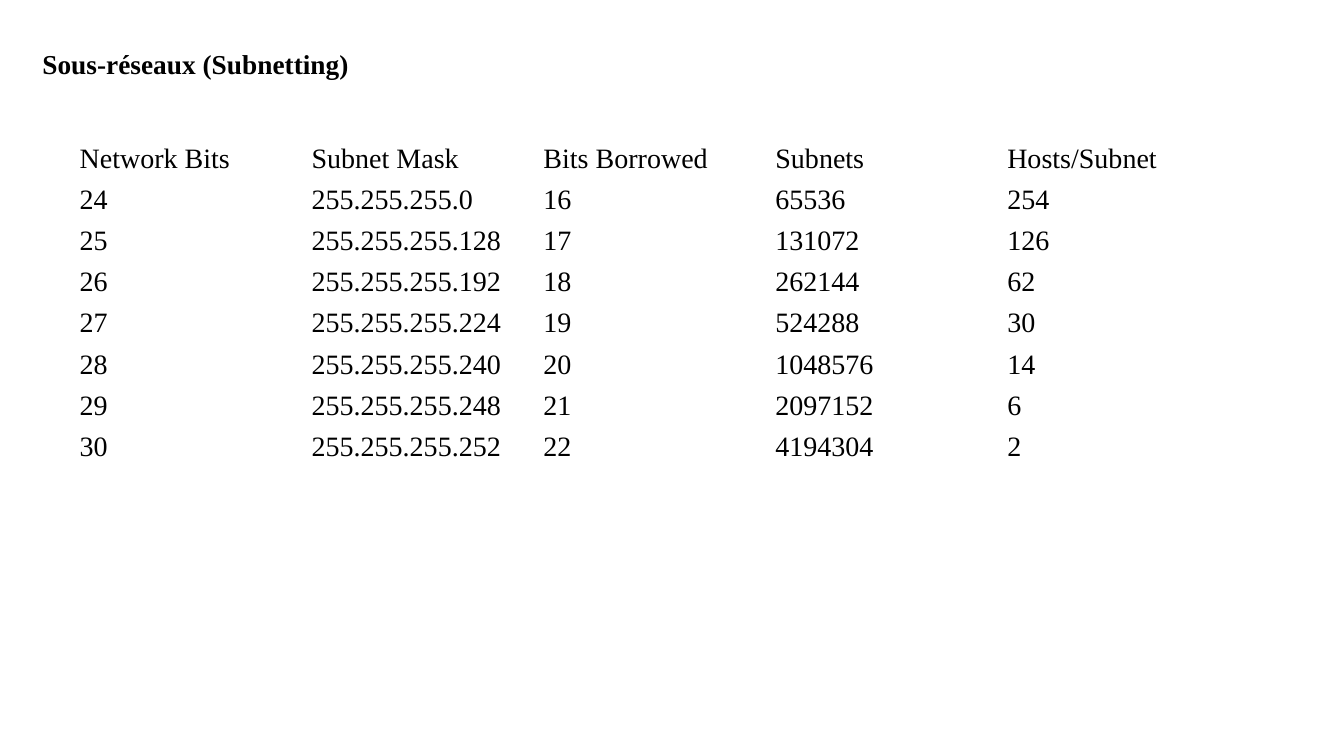
"""Build a slide with a table of IPv4 subnet sizes."""
from pptx import Presentation
from pptx.dml.color import RGBColor
from pptx.enum.text import MSO_ANCHOR, MSO_AUTO_SIZE, PP_ALIGN
from pptx.util import Inches, Pt

MIDDLE = MSO_ANCHOR.MIDDLE
LEFT = PP_ALIGN.LEFT
NO_AUTOFIT = MSO_AUTO_SIZE.NONE
TITLE_ONLY = 5
FONT = "Times New Roman"
COLOURS = {"text": "000000", "background": "FFFFFF"}

HEADINGS = ["Network Bits", "Subnet Mask", "Bits Borrowed", "Subnets", "Hosts/Subnet"]
CLASS_A_BITS = 8
NETWORK_BITS = range(24, 31)


def subnet_row(bits):
    host_addresses = 2 ** (32 - bits)
    borrowed = bits - CLASS_A_BITS
    mask = f"255.255.255.{256 - host_addresses}" if bits > 24 else "255.255.255.0"
    return [bits, mask, borrowed, 2 ** borrowed, host_addresses - 2]


def format_paragraph(paragraph, size, bold=False):
    paragraph.alignment = LEFT
    paragraph.font.name = FONT
    paragraph.font.size = Pt(size)
    paragraph.font.bold = bold
    paragraph.font.color.rgb = RGBColor.from_string(COLOURS["text"])


def set_title(page, text):
    title = page.shapes.title
    title.left, title.top = Inches(0.42), Inches(0.47)
    title.width, title.height = Inches(11.5), Inches(0.38)
    frame = title.text_frame
    frame.text = text
    frame.word_wrap = True
    frame.auto_size = NO_AUTOFIT
    frame.vertical_anchor = MIDDLE
    frame.margin_left = 0
    frame.margin_right = Inches(0.1)
    frame.margin_top = frame.margin_bottom = Inches(0.05)
    paragraph = frame.paragraphs[0]
    paragraph.line_spacing = 0.8
    format_paragraph(paragraph, 19.5, bold=True)


def fill_cell(cell, value):
    cell.text = str(value)
    cell.vertical_anchor = MIDDLE
    cell.margin_left = cell.margin_right = Inches(0.1)
    cell.margin_top = cell.margin_bottom = Inches(0.04)
    cell.fill.solid()
    cell.fill.fore_color.rgb = RGBColor.from_string(COLOURS["background"])
    format_paragraph(cell.text_frame.paragraphs[0], 20)


def add_subnet_table(page, rows):
    table = page.shapes.add_table(
        len(rows), len(HEADINGS),
        Inches(0.69), Inches(1.37), Inches(11.5), Inches(3.27),
    ).table
    table.first_row = False
    table.horz_banding = False
    for row_index, row in enumerate(rows):
        for column_index, value in enumerate(row):
            fill_cell(table.cell(row_index, column_index), value)


def main():
    deck = Presentation()
    deck.slide_width, deck.slide_height = Inches(13.33), Inches(7.5)
    page = deck.slides.add_slide(deck.slide_layouts[TITLE_ONLY])
    set_title(page, "Sous-réseaux (Subnetting)")
    add_subnet_table(page, [HEADINGS] + [subnet_row(bits) for bits in NETWORK_BITS])
    deck.save("out.pptx")


if __name__ == "__main__":
    main()
